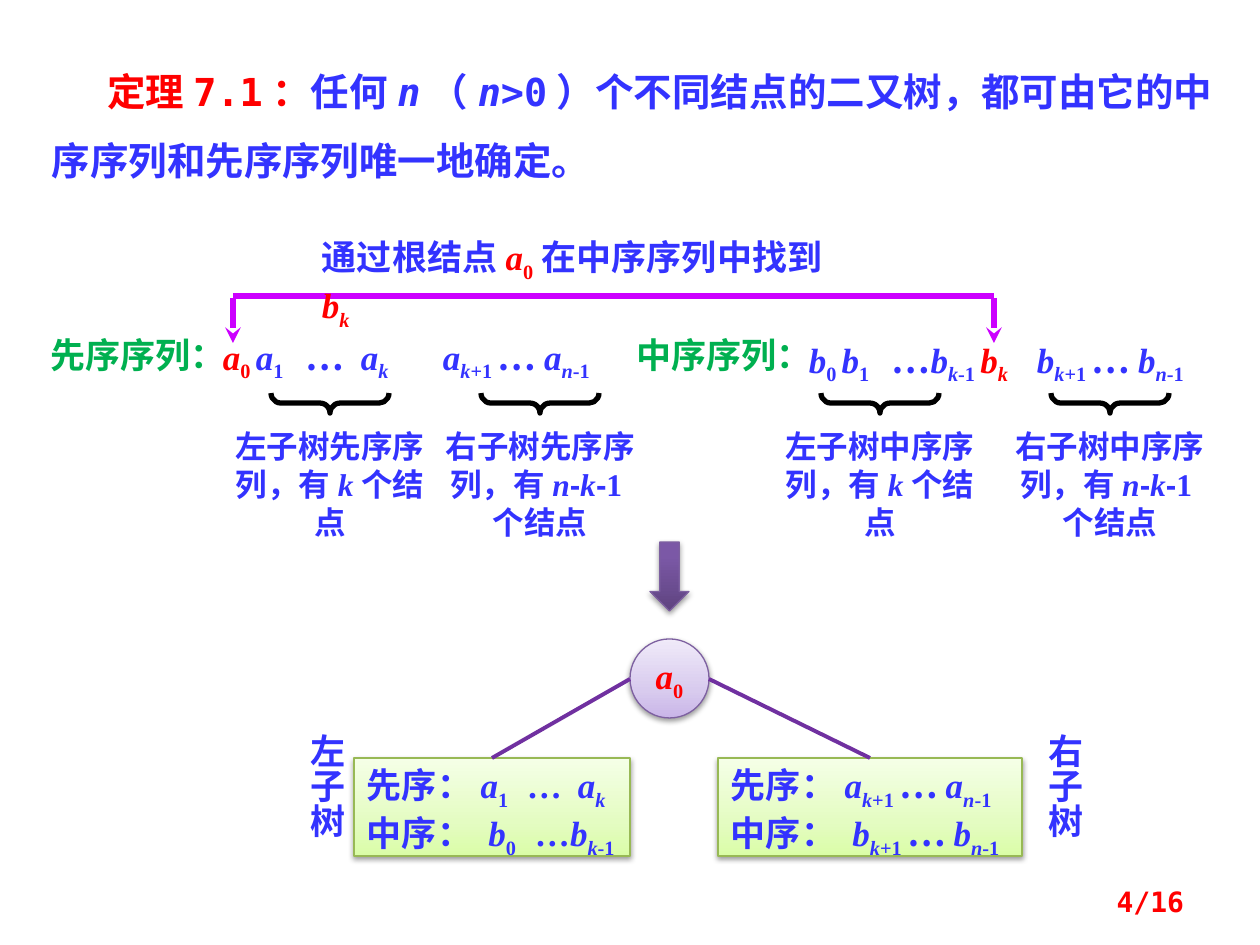
from copy import deepcopy

from lxml.etree import SubElement
from pptx import Presentation
from pptx.dml.color import RGBColor
from pptx.enum.shapes import MSO_CONNECTOR, MSO_SHAPE
from pptx.enum.text import MSO_ANCHOR, MSO_AUTO_SIZE, PP_ALIGN
from pptx.oxml.ns import qn
from pptx.util import Emu, Pt

PX = 914400 / 126
BLUE = RGBColor(0x33, 0x33, 0xFF)
RED = RGBColor(0xFF, 0x00, 0x00)
GREEN = RGBColor(0x00, 0xB0, 0x50)
MAGENTA = RGBColor(0xCC, 0x00, 0xFF)
PURPLE = RGBColor(0x70, 0x30, 0xA0)
BLACK = RGBColor(0x00, 0x00, 0x00)
VIOLET_EDGE = RGBColor(0x7D, 0x60, 0xA0)
GREEN_EDGE = RGBColor(0x98, 0xB9, 0x55)
LILAC_STOPS = [(0, RGBColor(0xC9, 0xB5, 0xE8)), (0.35, RGBColor(0xD8, 0xCB, 0xEE)),
               (1, RGBColor(0xF0, 0xEA, 0xF9))]
LIME_STOPS = [(0, RGBColor(0xDA, 0xFD, 0xA7)), (0.35, RGBColor(0xE4, 0xFC, 0xC2)),
              (1, RGBColor(0xF5, 0xFF, 0xE7))]
VIOLET_STOPS = [(0, RGBColor(0x5F, 0x44, 0x80)), (0.8, RGBColor(0x7B, 0x58, 0xA6)),
                (1, RGBColor(0x7C, 0x57, 0xA8))]
SERIF, MONO, CJK, SANS = "Times New Roman", "DejaVu Sans Mono", "Noto Sans CJK SC", "Arial"


def px(*lengths):
    return [Emu(round(length * PX)) for length in lengths]


def term(letter, index, rest="", flags=""):
    """Runs of a letter with its subscript; index names are italic, digits upright."""
    style = "s" if index.isdigit() else "si"
    return [(letter, "i" + flags), (index, style + flags)] + ([(rest, "s")] if rest else [])


def write_paragraph(paragraph, runs, size=20, color=BLUE, font=SERIF,
                    align=PP_ALIGN.LEFT, tabs=()):
    """Run flags: i italic, s subscript, r red, c CJK font, h Arial."""
    paragraph.alignment = align
    if tabs:
        tab_list = SubElement(paragraph._p.get_or_add_pPr(), qn("a:tabLst"))
        for position in px(*tabs):
            SubElement(tab_list, qn("a:tab"), pos=str(position), algn="l")
    for text, flags in runs:
        run = paragraph.add_run()
        run.text = text
        name = CJK if "c" in flags else SANS if "h" in flags else font
        formats = {"size": Pt(size), "bold": True, "italic": "i" in flags, "name": name}
        for attribute, value in formats.items():
            setattr(run.font, attribute, value)
        run.font.color.rgb = RED if "r" in flags else color
        properties = run._r.get_or_add_rPr()
        east_asian = SubElement(properties, qn("a:ea"), typeface=CJK)
        properties.find(qn("a:latin")).addnext(east_asian)
        if "s" in flags:
            properties.set("baseline", "-25000")


def format_frame(frame, margins=(0, 0), anchor=MSO_ANCHOR.TOP):
    side, end = px(*margins)
    formats = {"word_wrap": True, "auto_size": MSO_AUTO_SIZE.NONE, "vertical_anchor": anchor,
               "margin_left": side, "margin_right": side,
               "margin_top": end, "margin_bottom": end}
    for attribute, value in formats.items():
        setattr(frame, attribute, value)


def add_text(slide, box, runs, margins=(0, 0), anchor=MSO_ANCHOR.TOP, **style):
    frame = slide.shapes.add_textbox(*px(*box)).text_frame
    format_frame(frame, margins, anchor)
    write_paragraph(frame.paragraphs[0], runs, **style)
    return frame


def add_gradient_shape(slide, kind, box, stops, edge):
    shape = slide.shapes.add_shape(kind, *px(*box))
    shape.shadow.inherit = False
    shape.fill.gradient()
    shape.fill.gradient_angle = 90
    properties = shape._element.spPr
    stop_list = properties.find(qn("a:gradFill")).find(qn("a:gsLst"))
    stop_list.append(deepcopy(stop_list[-1]))
    for stop, (position, color) in zip(shape.fill.gradient_stops, stops):
        stop.position = position
        stop.color.rgb = color
    shape.line.color.rgb = edge
    shape.line.width = Pt(0.75)
    # Soft shadow straight below
    shadow = SubElement(properties.find(qn("a:effectLst")), qn("a:outerShdw"), blurRad="40000",
                        dist="20000", dir="5400000", rotWithShape="0")
    SubElement(SubElement(shadow, qn("a:srgbClr"), val="000000"), qn("a:alpha"), val="38000")
    return shape


def add_line(slide, ends, color, width, arrow=False):
    line = slide.shapes.add_connector(MSO_CONNECTOR.STRAIGHT, *px(*ends))
    line.line.color.rgb = color
    line.line.width = Pt(width)
    if arrow:
        SubElement(line.line._get_or_add_ln(), qn("a:tailEnd"), type="stealth")
    SubElement(line._element.spPr, qn("a:effectLst"))
    return line


def add_subtree_note(slide, center, width, caption, count):
    """A brace below part of a sequence, with its caption."""
    runs = [(caption + "序列，有", "")] + count + [("个结点", "")]
    add_text(slide, (center - width / 2, 427, width, 115), runs, size=18, align=PP_ALIGN.CENTER)
    brace = slide.shapes.add_shape(MSO_SHAPE.LEFT_BRACE, *px(center - 10, 344, 20, 118))
    brace.rotation = 270
    brace.adjustments[0] = 0.498
    brace.shadow.inherit = False
    brace.fill.background()
    brace.line.color.rgb = BLACK
    brace.line.width = Pt(3)


def add_subtree(slide, box, lines, root_side, label, label_left):
    """A box with both orders, its vertical label and the edge from the root."""
    shape = add_gradient_shape(slide, MSO_SHAPE.RECTANGLE, box, LIME_STOPS, GREEN_EDGE)
    frame = shape.text_frame
    format_frame(frame, (13, 6))
    for number, (runs, tabs) in enumerate(lines):
        paragraph = frame.add_paragraph() if number else frame.paragraphs[0]
        write_paragraph(paragraph, runs, tabs=tabs)
    label_frame = add_text(slide, (label_left, 728, 68, 130), [(label, "")], (6, 6),
                           font=CJK, align=PP_ALIGN.CENTER)
    label_frame._txBody.bodyPr.set("vert", "eaVert")
    edge = add_line(slide, (root_side, 679, box[0], box[1]), PURPLE, 2.25)
    edge.end_connect(shape, 0)


def add_theorem(slide):
    title = slide.shapes.title
    title.left, title.top, title.width, title.height = px(39, 39, 1187, 144)
    format_frame(title.text_frame, (13, 6))
    paragraph = title.text_frame.paragraphs[0]
    paragraph.line_spacing = 1.5
    paragraph._p.get_or_add_pPr().set("indent", str(px(55)[0]))
    runs = [("定理7.1：", "r"), ("任何", ""), ("n", "i"), ("（", ""), ("n>", "i"),
            ("0）个不同结点的二又树，都可由它的中序序列和先序序列唯一地确定。", "")]
    write_paragraph(paragraph, runs, size=22, font=MONO, align=PP_ALIGN.JUSTIFY)


def main():
    presentation = Presentation()
    presentation.slide_width, presentation.slide_height = px(1260, 945)
    slide = presentation.slides.add_slide(presentation.slide_layouts[5])
    add_theorem(slide)

    # The two sequences
    dots, gap = [("… ", "c")], [("\t", "")]
    right_preorder = term("a", "k", "+1 ") + dots + term("a", "n", "-1")
    right_inorder = term("b", "k", "+1 ") + dots + term("b", "n", "-1")
    preorder = (term("a", "0", " ", "r") + term("a", "1") + [("\t…\t", "c")]
                + term("a", "k") + gap + right_preorder)
    inorder = (term("b", "0", " ") + term("b", "1") + [("\t…", "c")] + term("b", "k", "-1 ")
               + term("b", "k", flags="r") + gap + right_inorder)
    for left, name in ((44, "先序序列："), (630, "中序序列：")):
        add_text(slide, (left, 333, 189, 42), [(name, "")], color=GREEN, align=PP_ALIGN.CENTER)
    add_text(slide, (223, 335, 397, 43), preorder, tabs=(83, 138, 220))
    add_text(slide, (809, 338, 392, 43), inorder, tabs=(83, 228))

    # Braces with the size of each subtree
    left_count = [("k", "i")]
    right_count = [("n", "i"), ("-", "h"), ("k", "i"), ("-", "h"), ("1", "")]
    for order, left_center, right_center in (("先序", 330, 540), ("中序", 880, 1110)):
        add_subtree_note(slide, left_center, 189, "左子树" + order, left_count)
        add_subtree_note(slide, right_center, 198, "右子树" + order, right_count)

    # Link from the root to its place in the inorder sequence
    add_line(slide, (233, 296, 994, 296), MAGENTA, 3)
    for x in (233, 994):
        add_line(slide, (x, 298, x, 343), MAGENTA, 3, arrow=True)
    found = ([("通过根结点", "")] + term("a", "0", flags="r") + [("在中序序列中找到", "")]
             + term("b", "k", flags="r"))
    add_text(slide, (322, 236, 532, 42), found)

    # Resulting tree
    root = add_gradient_shape(slide, MSO_SHAPE.OVAL, (630, 639, 79, 79), LILAC_STOPS, VIOLET_EDGE)
    format_frame(root.text_frame, (0, 6), MSO_ANCHOR.MIDDLE)
    write_paragraph(root.text_frame.paragraphs[0], term("a", "0", flags="r"),
                    align=PP_ALIGN.CENTER)
    first, second = [("先序：", "")], [("中序：", ""), (" ", "i")]
    left_lines = [(first + term("a", "1") + [("\t…\t", "")] + term("a", "k"), (160, 211)),
                  (second + term("b", "0") + [("\t…", "")] + term("b", "k", "-1"), (168,))]
    right_lines = [(first + right_preorder, ()), (second + right_inorder, ())]
    add_subtree(slide, (354, 758, 276, 98), left_lines, 630, "左子树", 286)
    add_subtree(slide, (718, 758, 304, 98), right_lines, 709, "右子树", 1024)
    add_gradient_shape(slide, MSO_SHAPE.DOWN_ARROW, (650, 542, 39, 69), VIOLET_STOPS, VIOLET_EDGE)

    # Page number
    add_text(slide, (903, 876, 294, 50), [("4/16", "r")], (13, 6), MSO_ANCHOR.MIDDLE,
             size=16, font=MONO, align=PP_ALIGN.RIGHT)
    presentation.save("out.pptx")


if __name__ == "__main__":
    main()
